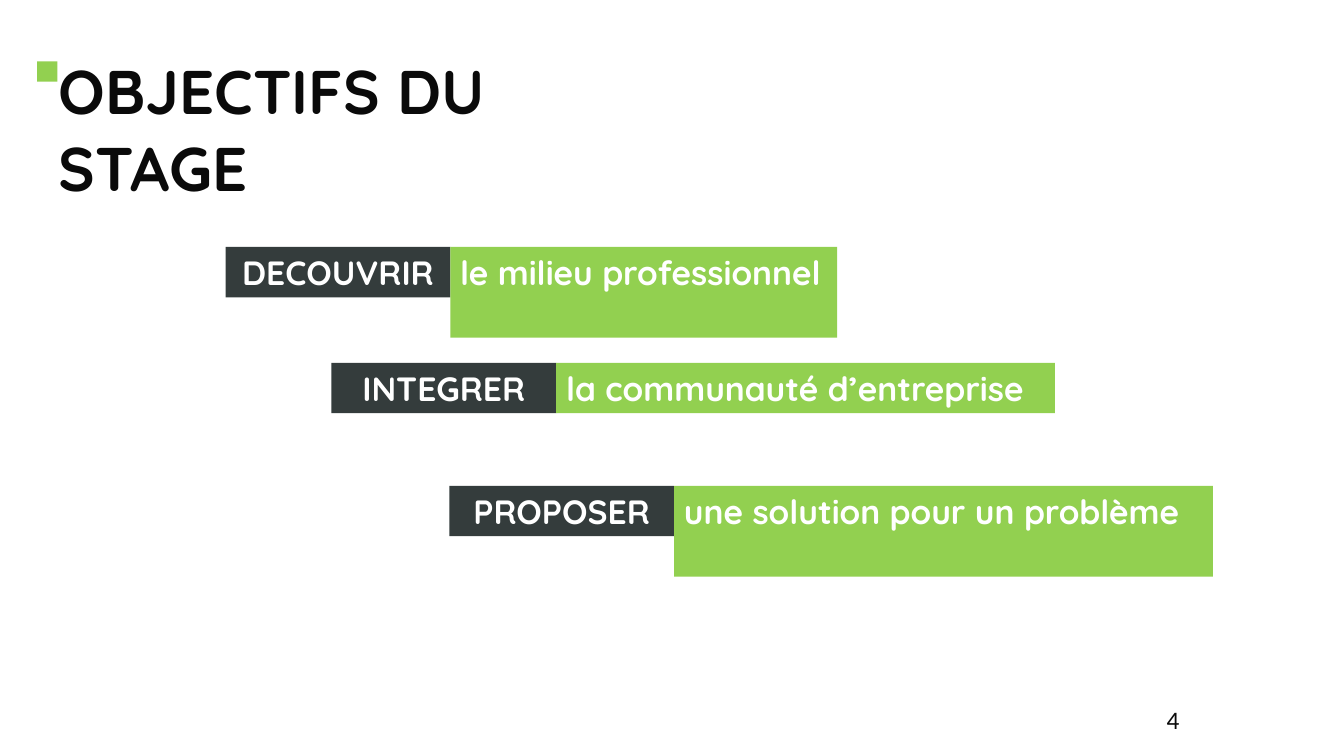
from pptx import Presentation
from pptx.dml.color import RGBColor
from pptx.enum.shapes import MSO_SHAPE
from pptx.enum.text import MSO_ANCHOR, MSO_AUTO_SIZE, PP_ALIGN
from pptx.util import Inches, Pt

DARK = RGBColor(0x34, 0x3C, 0x3C)
GREEN = RGBColor(0x92, 0xD0, 0x50)
BLACK = RGBColor(0x0A, 0x0A, 0x0A)
WHITE = RGBColor(0xFF, 0xFF, 0xFF)

TITLE_FONT = {"name": "Quicksand", "size": Pt(44), "bold": True}
BAR_FONT = {"name": "Quicksand", "size": Pt(24), "bold": True}
NUMBER_FONT = {"name": "Calibri", "size": Pt(18), "bold": False}

LABEL_WIDTH = 2.23
LABEL_HEIGHT = 0.5
OBJECTIVES = [
    ("DECOUVRIR", "le milieu professionnel", 2.24, 2.45, 3.84, 0.9),
    ("INTEGRER", "la communauté d’entreprise", 3.29, 3.6, 4.95, 0.5),
    ("PROPOSER", "une solution pour un problème", 4.46, 4.82, 5.35, 0.9),
]


def write_text(shape, text, font_format, color, alignment=PP_ALIGN.LEFT):
    frame = shape.text_frame
    frame.word_wrap = True
    frame.auto_size = MSO_AUTO_SIZE.NONE
    frame.vertical_anchor = MSO_ANCHOR.TOP
    paragraph = frame.paragraphs[0]
    paragraph.alignment = alignment
    run = paragraph.add_run()
    run.text = text
    for attribute, value in font_format.items():
        setattr(run.font, attribute, value)
    run.font.color.rgb = color
    return paragraph


def add_bar(left, top, width, height, color):
    shape = slide.shapes.add_shape(
        MSO_SHAPE.RECTANGLE, Inches(left), Inches(top), Inches(width), Inches(height)
    )
    shape.shadow.inherit = False
    shape.fill.solid()
    shape.fill.fore_color.rgb = color
    shape.line.fill.background()
    return shape


presentation = Presentation()
presentation.slide_width = Inches(13.34)
presentation.slide_height = Inches(7.5)
slide = presentation.slides.add_slide(presentation.slide_layouts[5])

title = slide.shapes.title
title.left, title.top = Inches(0.48), Inches(0.44)
title.width, title.height = Inches(6.2), Inches(1.63)
title_paragraph = write_text(title, "OBJECTIFS DU STAGE", TITLE_FONT, BLACK)
title_paragraph.line_spacing = Pt(55)
title_paragraph.space_before = Pt(0)

add_bar(0.37, 0.61, 0.2, 0.2, GREEN)

for verb, goal, left, top, goal_width, goal_height in OBJECTIVES:
    label = add_bar(left, top, LABEL_WIDTH, LABEL_HEIGHT, DARK)
    write_text(label, verb, BAR_FONT, WHITE, PP_ALIGN.CENTER)
    goal_bar = add_bar(left + LABEL_WIDTH, top, goal_width, goal_height, GREEN)
    write_text(goal_bar, goal, BAR_FONT, WHITE)

page_number = slide.shapes.add_textbox(
    Inches(11.48), Inches(6.94), Inches(0.82), Inches(0.4)
)
write_text(page_number, "4", NUMBER_FONT, BLACK)

presentation.save("out.pptx")
